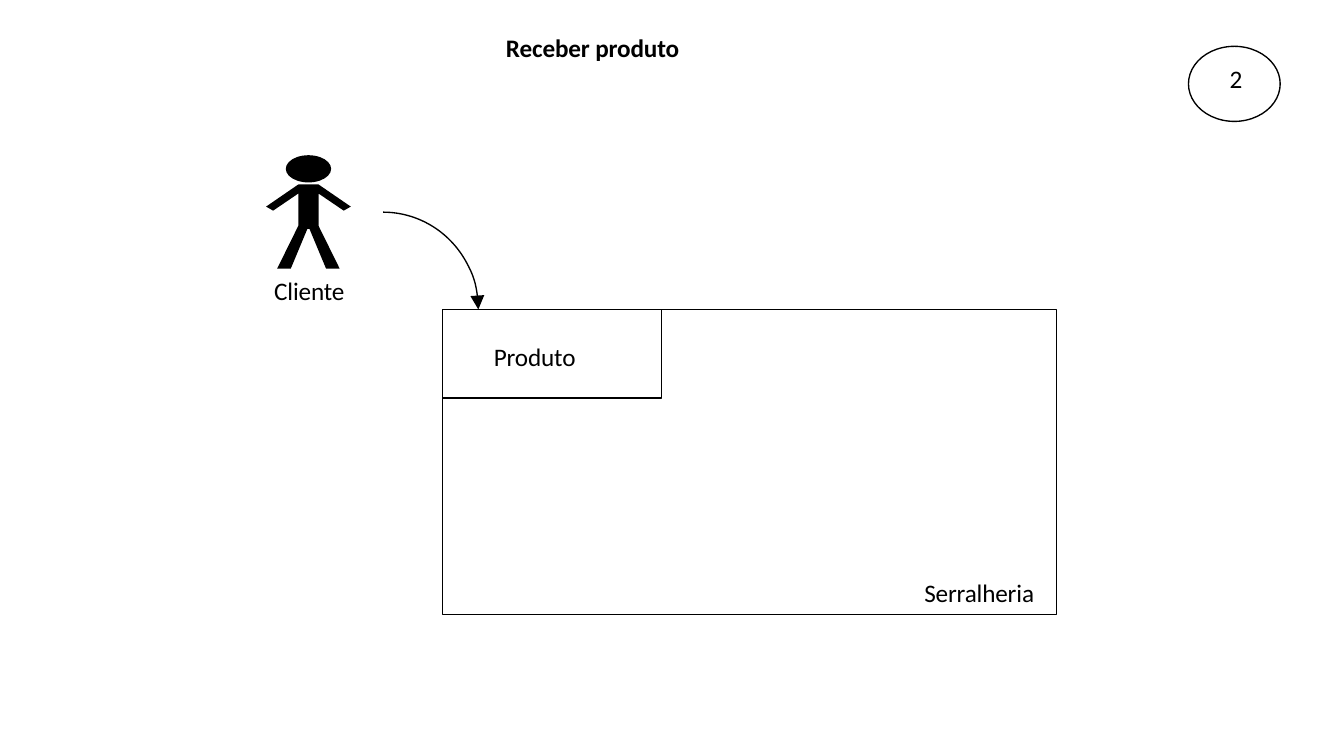
from typing import NamedTuple

from lxml import etree
from pptx import Presentation
from pptx import util as u
from pptx.dml.color import RGBColor
from pptx.enum import shapes, text
from pptx.oxml.ns import qn

BLACK = RGBColor(0, 0, 0)
FONT = "Calibri"
FONT_SIZE = u.Pt(18)
LINE_WIDTH = u.Pt(0.96)
LETTER_SPACING = -10
CELL = u.Inches(0.1)
COLUMNS, ROWS = 133.33, 75
KIND = shapes.MSO_SHAPE


class Area(NamedTuple):
    column: float
    row: float
    columns: float
    rows: float


class Label(NamedTuple):
    wording: str
    area: Area


class Outline(NamedTuple):
    kind: shapes.MSO_SHAPE
    area: Area


def cells(count: float) -> int:
    return round(count * CELL)


def place(area: Area) -> list[int]:
    return [cells(length) for length in area]


def write(frame, wording: str, left: float = 0.1, top: float = 0.1,
          before: float = 1, bold: bool = False) -> None:
    frame.word_wrap = True
    frame.auto_size = text.MSO_AUTO_SIZE.NONE
    frame.vertical_anchor = text.MSO_ANCHOR.TOP
    frame.margin_left, frame.margin_top = cells(left), cells(top)
    frame.margin_right = frame.margin_bottom = 0
    paragraph = frame.paragraphs[0]
    paragraph.alignment = text.PP_ALIGN.LEFT
    paragraph.space_before = u.Pt(before)
    run = paragraph.add_run()
    run.text = wording
    run.font.name, run.font.size, run.font.bold = FONT, FONT_SIZE, bold
    run.font.color.rgb = BLACK
    run.font._element.set("spc", str(LETTER_SPACING))


def draw_label(slide, label: Label) -> None:
    write(slide.shapes.add_textbox(*place(label.area)).text_frame, label.wording)


def draw_outline(slide, outline: Outline):
    shape = slide.shapes.add_shape(outline.kind, *place(outline.area))
    shape.shadow.inherit = False
    shape.fill.background()
    shape.line.color.rgb = BLACK
    shape.line.width = LINE_WIDTH
    return shape


def fill_black(shape) -> None:
    shape.shadow.inherit = False
    shape.fill.solid()
    shape.fill.fore_color.rgb = BLACK
    shape.line.fill.background()


def draw_person(slide, head: Area, shoulder_row: float,
                right_half: list[tuple[float, float]]) -> None:
    fill_black(slide.shapes.add_shape(KIND.OVAL, *place(head)))
    axis = head.column + head.columns / 2
    left_half = [(-across, down) for across, down in reversed(right_half)]
    points = [(cells(axis + across), cells(shoulder_row + down))
              for across, down in right_half + left_half]
    builder = slide.shapes.build_freeform(*points[0])
    builder.add_line_segments(points[1:], close=True)
    fill_black(builder.convert_to_shape())


def draw_delivery_arrow(slide, start: tuple[float, float],
                        end: tuple[float, float]) -> None:
    across, down = end[0] - start[0], end[1] - start[1]
    full_circle = Area(start[0] - across, start[1], 2 * across, 2 * down)
    arrow = draw_outline(slide, Outline(KIND.ARC, full_circle))
    etree.SubElement(arrow.line._get_or_add_ln(), qn("a:tailEnd"),
                     type="triangle", w="lg", len="lg")


HEAD = Area(28.35, 15.4, 4.5, 2.7)
SHOULDER_ROW = 18.3
RIGHT_HALF = [(1, 0), (4.2, 2.2), (3.5, 2.6), (1, 0.9),
              (1, 4.1), (3.1, 8.35), (1.75, 8.35), (0.1, 4.4)]
WORKSHOP = Outline(KIND.RECTANGLE, Area(43.9, 30.7, 60.9, 30.3))
PRODUCT = Outline(KIND.RECTANGLE, Area(43.9, 30.7, 21.7, 8.8))
STEP_BADGE = Outline(KIND.OVAL, Area(117.9, 4.6, 9.1, 7.45))
TITLE = Label("Receber produto", Area(50.1, 3.1, 25.4, 3.3))
LABELS = [
    Label("Serralheria", Area(91.6, 57.2, 12, 3.3)),
    Label("Cliente", Area(27.1, 27.2, 8, 3.3)),
    Label("2", Area(121.9, 6.2, 2, 3.3)),
]

deck = Presentation()
deck.slide_width, deck.slide_height = cells(COLUMNS), cells(ROWS)
slide = deck.slides.add_slide(deck.slide_layouts[5])

title = slide.shapes.title
title.left, title.top, title.width, title.height = place(TITLE.area)
write(title.text_frame, TITLE.wording, bold=True)

draw_person(slide, HEAD, SHOULDER_ROW, RIGHT_HALF)
draw_outline(slide, WORKSHOP)
draw_delivery_arrow(slide, start=(38, 21.05), end=(47.45, WORKSHOP.area.row))
product = draw_outline(slide, PRODUCT)
write(product.text_frame, "Produto", left=5.1, top=3.2, before=0)
draw_outline(slide, STEP_BADGE)
for label in LABELS:
    draw_label(slide, label)

deck.save("out.pptx")
